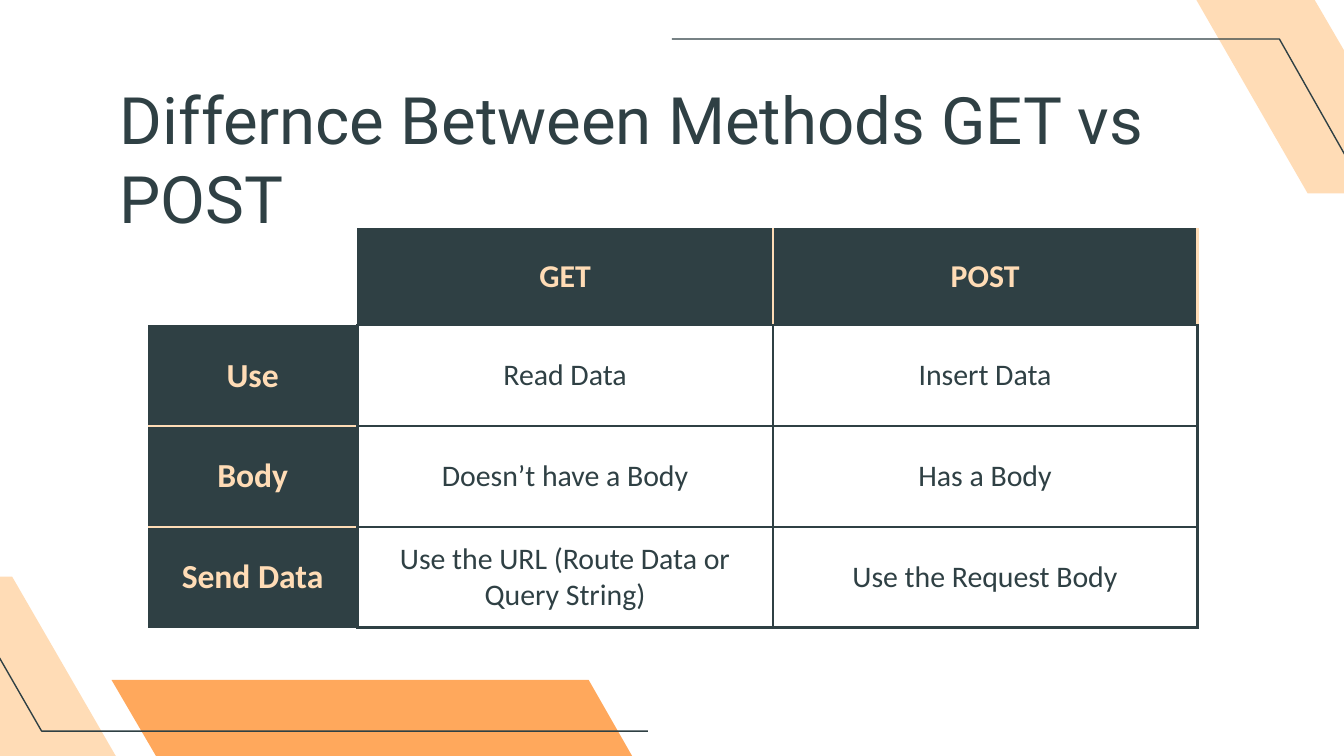
from lxml import etree
from pptx import Presentation
from pptx.dml.color import RGBColor
from pptx.enum import text
from pptx.oxml import ns
from pptx.util import Inches, Pt

DARK, PEACH, ORANGE = "2F4044", "FFDCB6", "FFA85C"

PARALLELOGRAMS = [
    (ORANGE, [(0.83, 5.06), (4.38, 5.06), (4.82, 5.83), (1.28, 5.83)]),
    (PEACH, [(-0.8, 4.29), (0.09, 4.29), (0.98, 5.83), (0.09, 5.83)]),
    (PEACH, [(8.85, -0.09), (9.73, -0.09), (10.62, 1.44), (9.73, 1.44)]),
]
BENT_LINES = [
    [(4.82, 5.44), (0.31, 5.44), (-0.61, 3.84)],
    [(5, 0.29), (9.52, 0.29), (10.43, 1.9)],
]
COMPARISON = [
    ["", "GET", "POST"],
    ["Use", "Read Data", "Insert Data"],
    ["Body", "Doesn’t have a Body", "Has a Body"],
    ["Send Data", "Use the URL (Route Data or Query String)", "Use the Request Body"],
]


def rgb(color):
    return RGBColor.from_string(color)


def write(frame, words, size=16, font="Calibri", color=DARK, bold=False,
          align=text.PP_ALIGN.CENTER):
    paragraph = frame.paragraphs[0]
    paragraph.alignment = align
    run = paragraph.add_run()
    run.text = words
    run.font.size = Pt(size)
    run.font.name = font
    run.font.bold = bold
    run.font.color.rgb = rgb(color)


def add_outline(slide, points, fill=None, line=None):
    (x, y), *rest = [(Inches(px), Inches(py)) for px, py in points]
    builder = slide.shapes.build_freeform(x, y)
    builder.add_line_segments(rest, close=fill is not None)
    outline = builder.convert_to_shape()
    outline.shadow.inherit = False
    if fill:
        outline.fill.solid()
        outline.fill.fore_color.rgb = rgb(fill)
    else:
        outline.fill.background()
    if line:
        outline.line.color.rgb = rgb(line)
        outline.line.width = Pt(0.75)
    else:
        outline.line.fill.background()


def add_title(slide, words):
    title = slide.shapes.title
    title.left, title.top = Inches(0.79), Inches(0.59)
    title.width, title.height = Inches(8.43), Inches(0.57)
    frame = title.text_frame
    frame.word_wrap = True
    frame.auto_size = text.MSO_AUTO_SIZE.NONE
    frame.vertical_anchor = text.MSO_ANCHOR.TOP
    frame.margin_left = frame.margin_right = frame.margin_bottom = Inches(0.1)
    frame.margin_top = 0
    write(frame, words, size=35, font="Roboto", align=text.PP_ALIGN.LEFT)


def set_borders(cell, colors):
    properties = cell._tc.get_or_add_tcPr()
    for side, color in zip("LRTB", colors):
        border = etree.SubElement(properties, ns.qn(f"a:ln{side}"), w=str(Pt(1.5)))
        if color:
            solid = etree.SubElement(border, ns.qn("a:solidFill"))
            etree.SubElement(solid, ns.qn("a:srgbClr"), val=color)
        else:
            etree.SubElement(border, ns.qn("a:noFill"))


def border_colors(row, column, last_row):
    if row and column:
        return [DARK] * 4
    if column:
        return [PEACH if column > 1 else None, PEACH, None, DARK]
    if row:
        return [None, DARK, PEACH if row > 1 else None,
                PEACH if row < last_row else None]
    return [None] * 4


def format_cell(cell, words, row, column, last_row):
    set_borders(cell, border_colors(row, column, last_row))
    cell.vertical_anchor = text.MSO_ANCHOR.MIDDLE
    cell.margin_left = cell.margin_right = Inches(0.1)
    cell.margin_top = cell.margin_bottom = Inches(0.07)
    heading = bool(words) and (row == 0 or column == 0)
    if heading:
        cell.fill.solid()
        cell.fill.fore_color.rgb = rgb(DARK)
        write(cell.text_frame, words, size=18 if row else 17, color=PEACH, bold=True)
    else:
        cell.fill.background()
        if words:
            write(cell.text_frame, words)


def add_comparison(slide, rows):
    table = slide.shapes.add_table(len(rows), len(rows[0]), Inches(1.1), Inches(1.7),
                                   Inches(7.81), Inches(2.97)).table
    table.first_row = table.horz_banding = False
    for column, width in zip(table.columns, (1.56, 3.09, 3.16)):
        column.width = Inches(width)
    for index, row in enumerate(table.rows):
        row.height = Inches(0.75 if index else 0.72)
    for r, row in enumerate(rows):
        for c, words in enumerate(row):
            format_cell(table.cell(r, c), words, r, c, len(rows) - 1)


def main():
    deck = Presentation()
    deck.slide_width = Inches(10)
    deck.slide_height = deck.slide_width * 9 // 16
    slide = deck.slides.add_slide(deck.slide_layouts[5])
    for fill, corners in PARALLELOGRAMS:
        add_outline(slide, corners, fill=fill)
    for points in BENT_LINES:
        add_outline(slide, points, line=DARK)
    add_title(slide, "Differnce Between Methods GET vs POST")
    add_comparison(slide, COMPARISON)
    deck.save("out.pptx")


if __name__ == "__main__":
    main()
